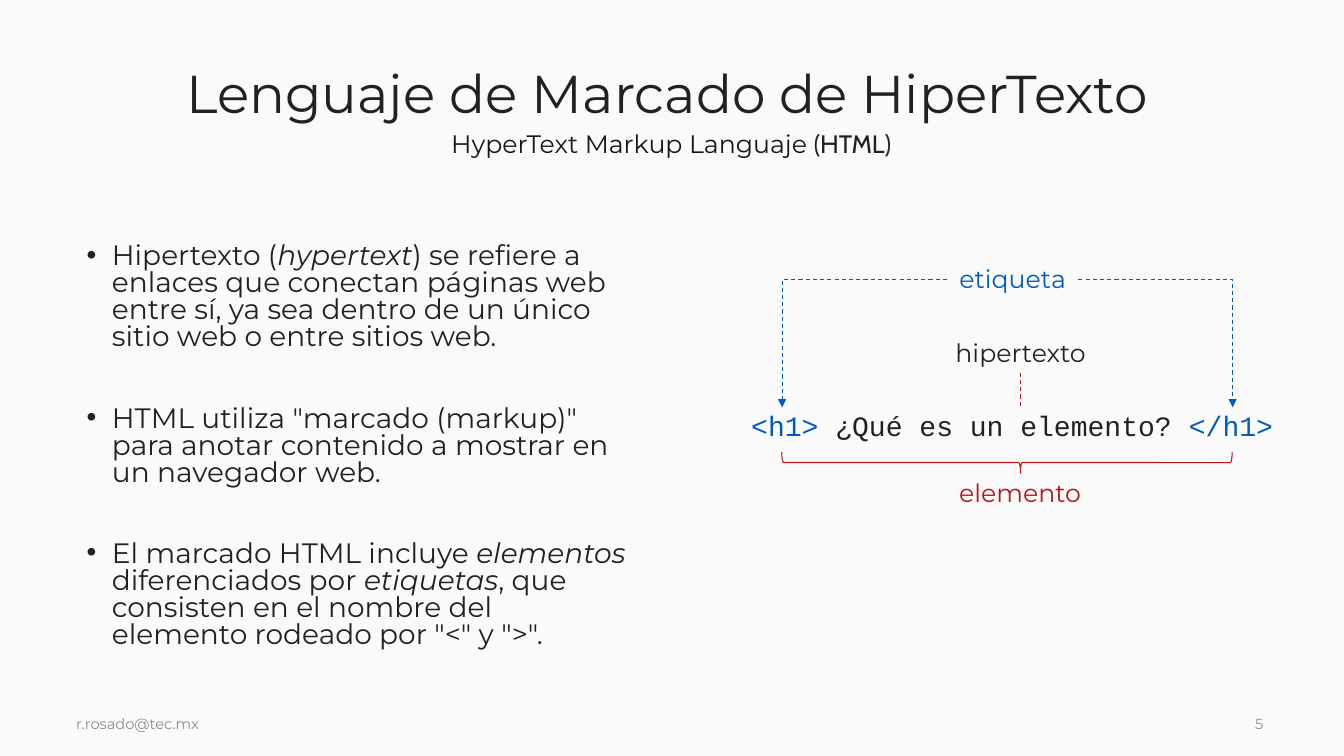
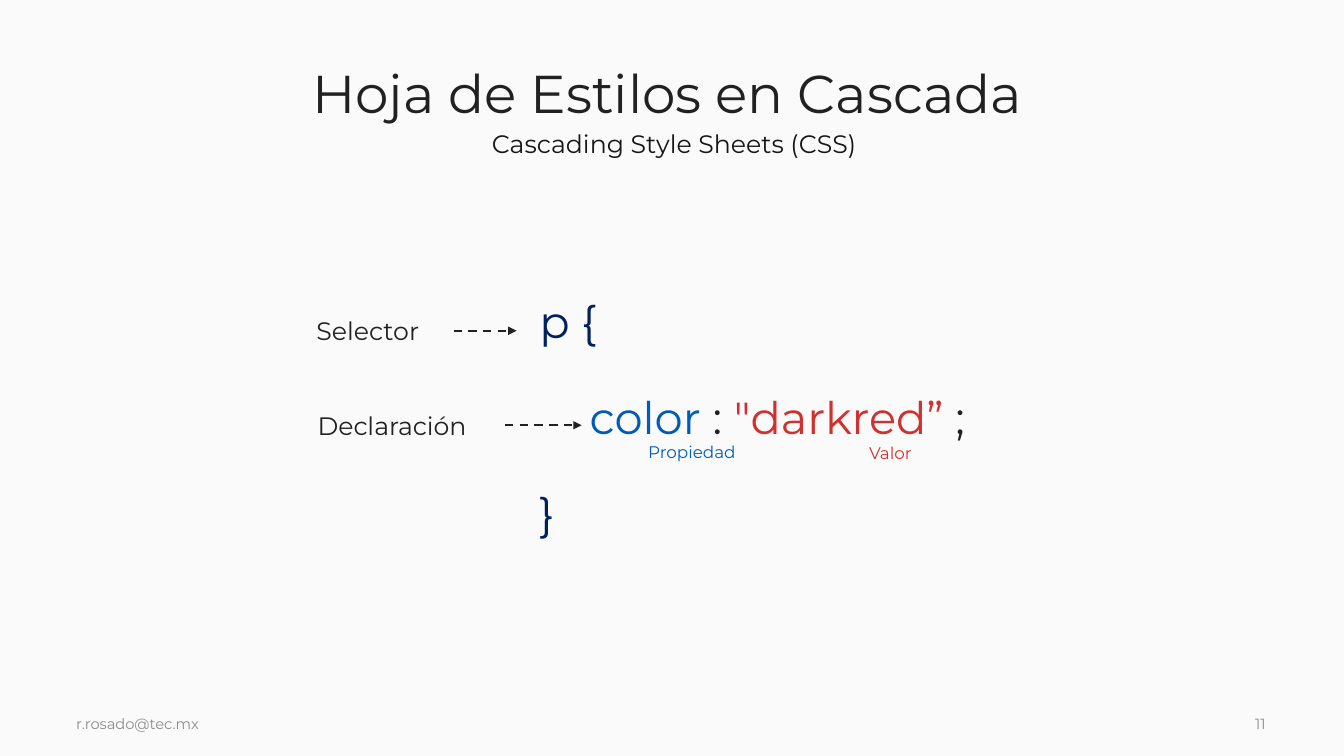
import pptx
import pptx.dml.color
import pptx.enum.dml
import pptx.enum.shapes
import pptx.enum.text
import pptx.oxml
import pptx.oxml.ns
import pptx.util

ALIGN = pptx.enum.text.PP_ALIGN
ANCHOR = pptx.enum.text.MSO_ANCHOR
CONNECTOR = pptx.enum.shapes.MSO_CONNECTOR
BOTTOM, RIGHT = 2, 3


def px(length):
    return pptx.util.Emu(length * 9525)


def color(value):
    return pptx.dml.color.RGBColor.from_string(value)


def add_xml(parent, markup):
    tag, rest = markup.split(" ", 1) if " " in markup else (markup, "")
    element = pptx.oxml.parse_xml(f"<a:{tag} {pptx.oxml.ns.nsdecls('a')} {rest}/>")
    parent.append(element)
    return element


class Deck:
    BACKGROUND = "FAFAFA"
    INK = "212121"
    SUBTITLE = "171616"
    MUTED = "8D8D8D"
    BLUE = "005CB9"
    NAVY = "002060"
    CRIMSON = "B6171A"
    RED = "D2302F"
    FONT = "Montserrat"
    CODE_FONT = "Courier New"
    ACCENT_FONT = "Cabin"
    EMAIL = "r.rosado@tec.mx"

    def __init__(self):
        self.presentation = pptx.Presentation()
        self.presentation.slide_width = px(1280)
        self.presentation.slide_height = px(720)
        fill = self.presentation.slide_master.background.fill
        fill.solid()
        fill.fore_color.rgb = color(self.BACKGROUND)
        self.slide = None

    def new_slide(self, title, subtitle, number):
        layout = self.presentation.slide_layouts[1]
        self.slide = self.presentation.slides.add_slide(layout)
        heading = self.slide.shapes.title
        self.place(heading, (61, 49, 1149, 85), ANCHOR.MIDDLE)
        paragraph = heading.text_frame.paragraphs[0]
        self.add_runs(paragraph, [(title, {})], 38, align=ALIGN.CENTER, spacing=0.9)
        self.label(subtitle, (73, 117, 1138, 38), self.SUBTITLE, align=ALIGN.CENTER)
        for text, box in ((self.EMAIL, (63, 659, 743, 61)), (number, (1186, 659, 37, 61))):
            self.label(text, box, self.MUTED, 10.5, anchor=ANCHOR.MIDDLE)

    def place(self, shape, box, anchor):
        shape.left, shape.top, shape.width, shape.height = map(px, box)
        frame = shape.text_frame
        frame.word_wrap = True
        frame.auto_size = pptx.enum.text.MSO_AUTO_SIZE.NONE
        frame.vertical_anchor = anchor

    def add_runs(self, paragraph, runs, size, ink=None, align=ALIGN.LEFT,
                 spacing=1.0, before=0, font=None):
        paragraph.alignment = align
        paragraph.line_spacing = spacing
        paragraph.space_before = pptx.util.Pt(before)
        for text, style in runs:
            run = paragraph.add_run()
            run.text = text
            run.font.size = pptx.util.Pt(size)
            run.font.name = style.get("font", font or self.FONT)
            run.font.italic = style.get("italic", False)
            run.font.color.rgb = color(style.get("ink", ink or self.INK))

    def label(self, text, box, ink=None, size=18, anchor=ANCHOR.TOP, **style):
        shape = self.slide.shapes.add_textbox(*map(px, box))
        self.place(shape, box, anchor)
        runs = [(text, {})] if isinstance(text, str) else text
        self.add_runs(shape.text_frame.paragraphs[0], runs, size, ink, **style)
        return shape

    def body(self, paragraphs, box, size, gap, spacing, bullets=False):
        shape = self.slide.placeholders[1]
        self.place(shape, box, ANCHOR.TOP)
        frame = shape.text_frame
        for index, runs in enumerate(paragraphs):
            paragraph = frame.add_paragraph() if index else frame.paragraphs[0]
            properties = paragraph._p.get_or_add_pPr()
            indent = px(24) if bullets else 0
            properties.set("marL", str(indent))
            properties.set("indent", str(-indent))
            if bullets:
                add_xml(properties, 'buFont typeface="Arial"')
                add_xml(properties, 'buChar char="•"')
            else:
                add_xml(properties, "buNone")
                tabs = add_xml(properties, "tabLst")
                add_xml(tabs, f'tab pos="{px(96)}" algn="l"')
            self.add_runs(paragraph, runs, size, spacing=spacing,
                          before=gap if index else 0)

    def connector(self, start, end, ink, width=0.75, arrow=True, elbow=False,
                  source=None, side=None):
        kind = CONNECTOR.ELBOW if elbow else CONNECTOR.STRAIGHT
        line = self.slide.shapes.add_connector(kind, *map(px, start + end))
        if source is not None:
            line.begin_connect(source, side)
        line.line.color.rgb = color(ink)
        line.line.width = pptx.util.Pt(width)
        line.line.dash_style = pptx.enum.dml.MSO_LINE.DASH
        properties = line._element.spPr
        if arrow:
            add_xml(properties.find(pptx.oxml.ns.qn("a:ln")), 'tailEnd type="triangle"')
        if elbow:
            geometry = properties.find(pptx.oxml.ns.qn("a:prstGeom"))
            guides = geometry.find(pptx.oxml.ns.qn("a:avLst"))
            add_xml(guides, 'gd name="adj1" fmla="val 100000"')
        add_xml(properties, "effectLst")

    def brace(self, box, ink):
        kind = pptx.enum.shapes.MSO_SHAPE.RIGHT_BRACE
        shape = self.slide.shapes.add_shape(kind, *map(px, box))
        shape.rotation = 90
        shape.adjustments[0] = 0.08
        shape.adjustments[1] = 0.47
        shape.shadow.inherit = False
        shape.fill.background()
        shape.line.color.rgb = color(ink)
        shape.line.width = pptx.util.Pt(0.75)


def html_slide(deck):
    italic = {"italic": True}
    blue = {"ink": deck.BLUE}
    subtitle = [
        ("HyperText Markup Languaje ", {}),
        ("(HTML) ", {"font": deck.ACCENT_FONT, "ink": deck.INK}),
    ]
    deck.new_slide("Lenguaje de Marcado de HiperTexto", subtitle, "5")
    deck.body([
        [("Hipertexto (", {}), ("hypertext", italic),
         (") se refiere a enlaces que conectan páginas web entre sí, "
          "ya sea dentro de un único sitio web o entre sitios web.", {})],
        [('HTML utiliza "marcado (markup)" para anotar contenido '
          "a mostrar en un navegador web.", {})],
        [("El marcado HTML incluye ", {}), ("elementos", italic),
         (" diferenciados por ", {}), ("etiquetas", italic),
         (", que consisten en el nombre del elemento rodeado "
          'por "<" y ">".', {})],
    ], (73, 228, 533, 432), 20, gap=39, spacing=0.8, bullets=True)
    deck.label([("<h1> ", blue), ("¿Qué es un elemento? ", {}), ("</h1>", blue)],
               (706, 388, 533, 38), size=20, anchor=ANCHOR.MIDDLE,
               spacing=0.9, font=deck.CODE_FONT)
    deck.label("etiqueta", (902, 246, 125, 38), deck.BLUE, align=ALIGN.CENTER)
    hypertext = deck.label("hipertexto", (894, 317, 156, 38), align=ALIGN.CENTER)
    deck.label("elemento", (717, 450, 509, 38), deck.CRIMSON, align=ALIGN.CENTER)
    for start, tag in ((902, 745), (1027, 1174)):
        deck.connector((start, 266), (tag, 388), deck.BLUE, elbow=True)
    deck.connector((972, 355), (972, 388), deck.CRIMSON, arrow=False,
                   source=hypertext, side=BOTTOM)
    deck.brace((949, 226, 20, 429), deck.CRIMSON)


def css_slide(deck):
    navy = {"ink": deck.NAVY}
    deck.new_slide("Hoja de Estilos en Cascada", "Cascading Style Sheets (CSS)", "11")
    deck.body([
        [("p {", navy)],
        [("\tcolor", {"ink": deck.BLUE}), (" : ", {}),
         ('"darkred” ', {"ink": deck.RED}), (";", {})],
        [("}", navy)],
    ], (504, 281, 521, 275), 32, gap=34, spacing=0.9)
    for text, box, tip in (
        ("Selector", (292, 296, 140, 38), 492),
        ("Declaración", (293, 386, 188, 38), 554),
    ):
        left, top, width, height = box
        middle = top + height // 2
        name = deck.label(text, box)
        deck.connector((left + width, middle), (tip, middle), deck.INK, 1.5,
                       source=name, side=RIGHT)
    deck.label("Propiedad", (606, 416, 106, 29), deck.BLUE, 12, align=ALIGN.CENTER)
    deck.label("Valor", (750, 417, 196, 29), deck.RED, 12, align=ALIGN.CENTER)


def main():
    deck = Deck()
    html_slide(deck)
    css_slide(deck)
    deck.presentation.save("out.pptx")


if __name__ == "__main__":
    main()
